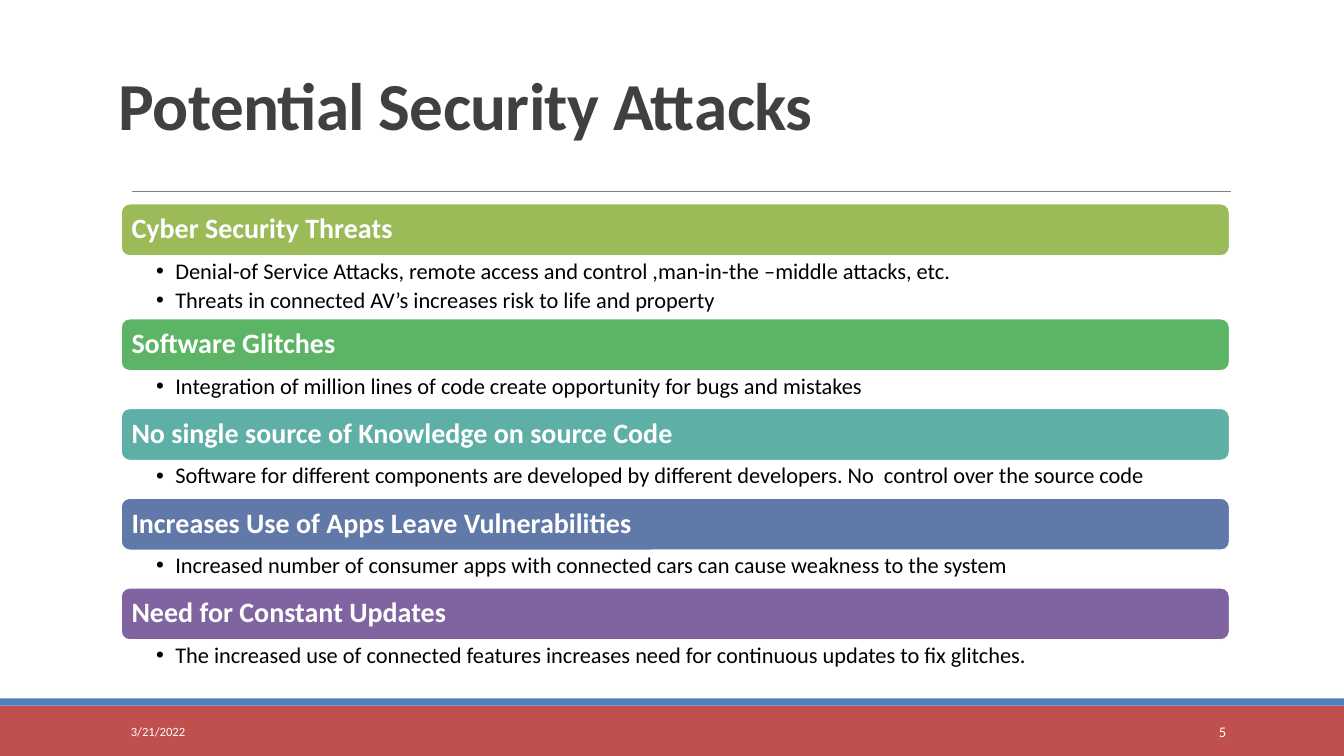
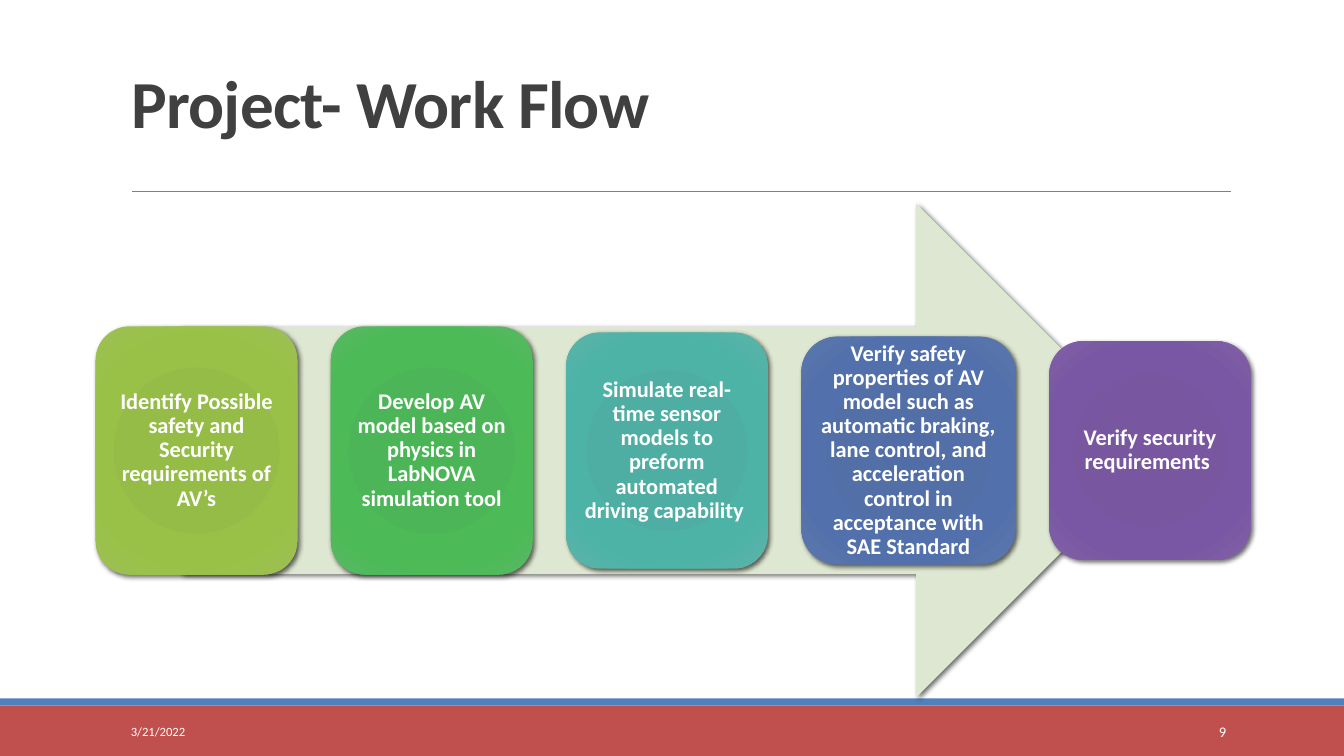
from dataclasses import dataclass

from lxml.etree import SubElement
from pptx import Presentation
from pptx.dml.color import RGBColor as RGB
from pptx.enum.shapes import MSO_CONNECTOR as Conn, MSO_SHAPE as Kind
from pptx.enum.text import MSO_ANCHOR as Anchor, MSO_AUTO_SIZE as Fit, PP_ALIGN as Align
from pptx.oxml.ns import qn
from pptx.util import Emu, Inches, Pt

# Grid: 80 columns by 45 rows of square cells
COLS, ROWS = 80, 45
CELL = Inches(7.5) / ROWS
LEFT, WIDE, TOP = 7.2, 66, 12.12
FONT = "Calibri"
WHITE, BLACK, DARK, GRAY = "FFFFFF", "000000", "404040", "808080"
RED, BLUE, PALE = "C0504D", "4F81BD", "DEE7D1"


@dataclass(frozen=True)
class Box:
    x: float
    y: float
    w: float
    h: float

    def emu(self) -> tuple:
        return tuple(cells(v) for v in (self.x, self.y, self.w, self.h))


@dataclass(frozen=True)
class Risk:
    head: str
    color: str
    notes: tuple


@dataclass(frozen=True)
class Step:
    text: str
    tones: tuple
    high: float
    wide: float = 12


RISKS = (
    Risk("Cyber Security Threats", "9BBB59", (
        "Denial-of Service Attacks, remote access and control ,man-in-the –middle attacks, etc.",
        "Threats in connected AV’s increases risk to life and property")),
    Risk("Software Glitches", "5CB565", (
        "Integration of million lines of code create opportunity for bugs and mistakes",)),
    Risk("No single source of Knowledge on source Code", "5EAFA6", (
        "Software for different components are developed by different developers. "
        "No  control over the source code",)),
    Risk("Increases Use of Apps Leave Vulnerabilities", "6179A8", (
        "Increased number of consumer apps with connected cars can cause weakness to the system",)),
    Risk("Need for Constant Updates", "8064A2", (
        "The increased use of connected features increases need for continuous updates "
        "to fix glitches.",)),
)

STEPS = (
    Step("Identify Possible safety and Security requirements of AV’s",
         ("95BC45", "96BC48", "99C147", "9DC054"), 14.76),
    Step("Develop AV model based on physics in LabNOVA simulation tool",
         ("49B554", "4CB557", "4BBA57", "57B962"), 14.76),
    Step("Simulate real-time sensor models to preform automated driving capability ",
         ("4DAEA3", "4FAEA3", "4EB3A7", "5AB3A9"), 14.04),
    Step("Verify safety properties of AV model such as automatic braking, lane control, "
         "and acceleration control in acceptance with SAE Standard",
         ("506DA7", "536FA7", "5270AB", "5D77AC"), 13.56, 12.75),
    Step("Verify security requirements ",
         ("7655A0", "7857A0", "7957A4", "8061A5"), 13.02),
)


def cells(n: float) -> Emu:
    return Emu(round(n * CELL))


def paint(target, color: str) -> None:
    """Give a fill or a line one solid colour."""
    fill = target.fill if hasattr(target, "fill") else target
    fill.solid()
    fill.fore_color.rgb = RGB.from_string(color)


# Text
def style(para, size: float, color: str, bold: bool = False,
          align=Align.LEFT, lead: float = 1) -> None:
    para.alignment, para.line_spacing = align, lead
    font = para.font
    font.name, font.size, font.bold = FONT, Pt(size), bold
    font.color.rgb = RGB.from_string(color)


def frame(shape, anchor, sides: tuple):
    """Set wrapping, anchor and margins (left, top, right, bottom, in inches)."""
    tf = shape.text_frame
    tf.word_wrap, tf.auto_size, tf.vertical_anchor = True, Fit.NONE, anchor
    tf.margin_left, tf.margin_top, tf.margin_right, tf.margin_bottom = map(Inches, sides)
    return tf


def label(slide, box: Box, text: str, size: float, align=Align.LEFT) -> None:
    tf = frame(slide.shapes.add_textbox(*box.emu()), Anchor.MIDDLE, (0.1, 0.05, 0.1, 0.05))
    tf.text = text
    style(tf.paragraphs[0], size, WHITE, align=align)


def bullets(slide, box: Box, notes: tuple) -> None:
    tf = frame(slide.shapes.add_textbox(*box.emu()), Anchor.TOP, (0.35, 0.03, 0.16, 0.03))
    tf.text = "\n".join(notes)
    for para in tf.paragraphs:
        para.space_after = Pt(3.2)
        para.line_spacing = 0.9
        props = para._p.get_or_add_pPr()
        props.set("marL", str(Inches(0.19)))
        props.set("indent", str(-Inches(0.19)))
        SubElement(props, qn("a:buFont"), typeface="Arial")
        SubElement(props, qn("a:buChar"), char="•")
        style(para, 16, BLACK, lead=0.9)


# Shapes
def block(slide, kind, box: Box, color: str):
    shape = slide.shapes.add_shape(kind, *box.emu())
    shape.shadow.inherit = False
    paint(shape, color)
    shape.line.fill.background()
    return shape


def shade(shape, blur: float) -> None:
    effects = shape._element.spPr.find(qn("a:effectLst"))
    cast = SubElement(effects, qn("a:outerShdw"), blurRad=str(Pt(blur)), dist=str(Pt(2)),
                      dir=str(45 * 60000), algn="tl", rotWithShape="0")
    tint = SubElement(cast, qn("a:srgbClr"), val=BLACK)
    SubElement(tint, qn("a:alpha"), val="60000")


def glow(shape, tones: tuple) -> None:
    """Turn the solid fill into a round gradient."""
    fill = shape._element.spPr.find(qn("a:solidFill"))
    fill.tag = qn("a:gradFill")
    fill.clear()
    stops = SubElement(fill, qn("a:gsLst"))
    for pos, tone in zip((0, 34, 70, 100), tones):
        stop = SubElement(stops, qn("a:gs"), pos=str(pos * 1000))
        SubElement(stop, qn("a:srgbClr"), val=tone)
    ring = SubElement(fill, qn("a:path"), {"path": "circle"})
    SubElement(ring, qn("a:fillToRect"), {side: "100000" for side in "ltrb"})


# Shared title, rule, bands and footer
def base(prs, title: str, box: Box, page: int):
    slide = prs.slides.add_slide(prs.slide_layouts[5])
    head = slide.shapes.title
    head.left, head.top, head.width, head.height = box.emu()
    tf = frame(head, Anchor.BOTTOM, (0.1, 0.05, 0.1, 0.05))
    tf.text = title
    style(tf.paragraphs[0], 48, DARK, True, lead=0.85)
    tf.paragraphs[0].font._rPr.set("spc", "-50")

    block(slide, Kind.RECTANGLE, Box(0, 42, COLS, 3), RED)
    block(slide, Kind.RECTANGLE, Box(0, 41.58, COLS, 0.42), BLUE)
    ends = (cells(n) for n in (7.86, 11.4, 73.26, 11.4))
    rule = slide.shapes.add_connector(Conn.STRAIGHT, *ends)
    rule.line.width = Pt(0.5)
    paint(rule.line, GRAY)
    SubElement(rule._element.spPr, qn("a:effectLst"))

    label(slide, Box(65, 42.36, 8.58, 2.4), str(page), 10.5, Align.RIGHT)
    label(slide, Box(LEFT, 42.36, 16.2, 2.4), "3/21/2022", 9)
    return slide


# Slide with headed bars
def attacks(prs) -> None:
    slide = base(prs, "Potential Security Attacks", Box(6.48, 1.68, WIDE, 7.2), 5)
    y = TOP
    for risk in RISKS:
        bar = block(slide, Kind.ROUNDED_RECTANGLE, Box(LEFT, y, WIDE, 3.12), risk.color)
        paint(bar.line, WHITE)
        bar.line.width = Pt(1.25)
        tf = frame(bar, Anchor.MIDDLE, (0.08,) * 4)
        tf.text = risk.head
        style(tf.paragraphs[0], 20, WHITE, True, lead=0.9)
        y += 3.18
        high = 2.16 + 1.5 * (len(risk.notes) - 1)
        bullets(slide, Box(LEFT, y, WIDE, high), risk.notes)
        y += high


# Slide with steps along an arrow
def flow(prs) -> None:
    slide = base(prs, "Project- Work Flow", Box(LEFT, 1.86, WIDE, 6.9), 9)
    span = Box(10.8, TOP, 58.44, 29.4)
    shade(block(slide, Kind.RIGHT_ARROW, span, PALE), 3)
    mid, x, gap = span.y + span.h / 2, 5.7, 2
    for step in STEPS:
        box = Box(x, mid - step.high / 2, step.wide, step.high)
        card = block(slide, Kind.ROUNDED_RECTANGLE, box, step.tones[0])
        glow(card, step.tones)
        shade(card, 3.5)
        tf = frame(card, Anchor.MIDDLE, (0.07,) * 4)
        tf.text = step.text
        style(tf.paragraphs[0], 16, WHITE, True, Align.CENTER, 0.9)
        x += step.wide + gap


def main() -> None:
    prs = Presentation()
    prs.slide_width, prs.slide_height = cells(COLS), cells(ROWS)
    attacks(prs)
    flow(prs)
    prs.save("out.pptx")


if __name__ == "__main__":
    main()
